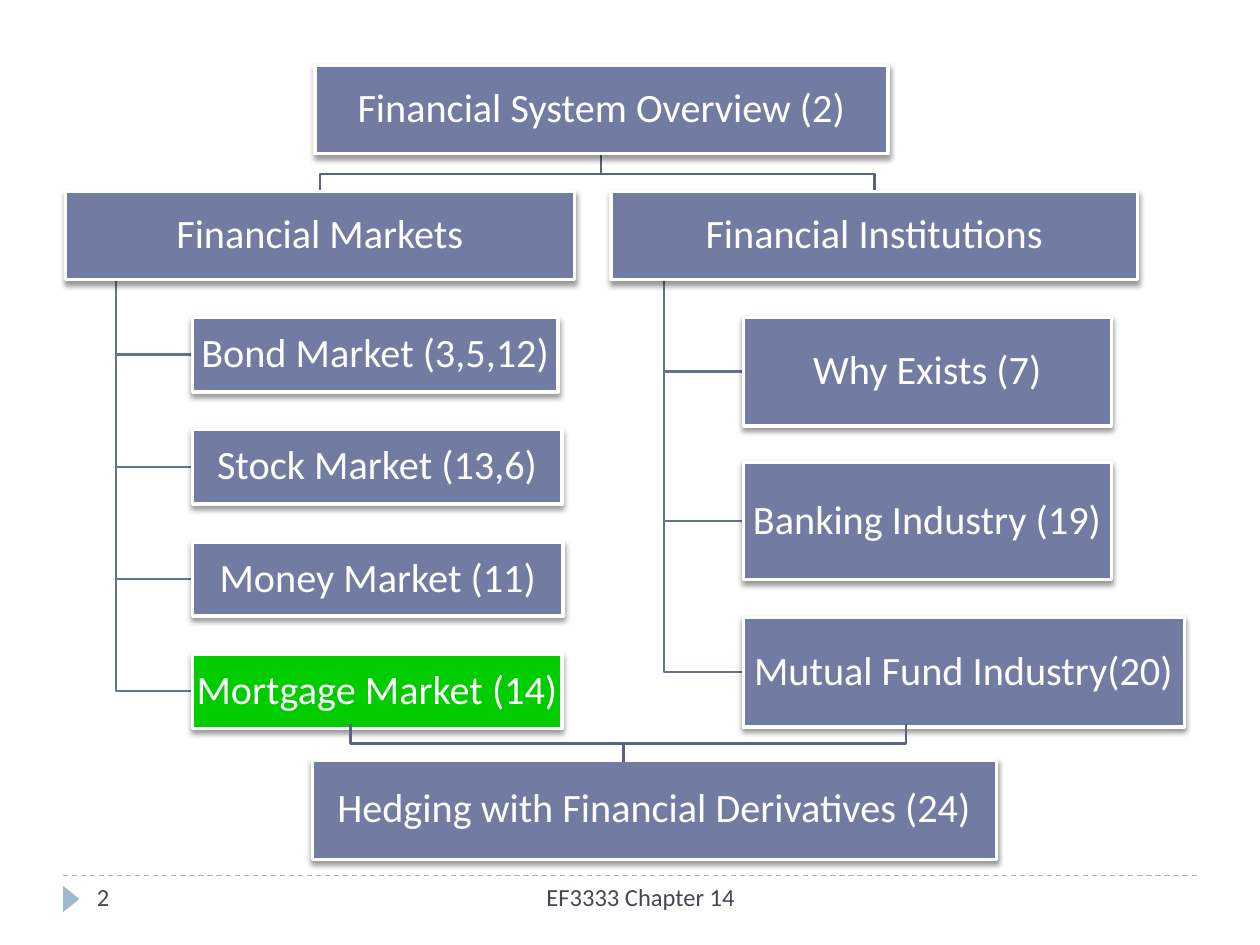
from lxml.etree import SubElement
from pptx import Presentation
from pptx.dml.color import RGBColor
from pptx.enum.dml import MSO_LINE
from pptx.enum.shapes import MSO_CONNECTOR, MSO_SHAPE
from pptx.enum.text import MSO_ANCHOR, PP_ALIGN
from pptx.oxml.ns import qn
from pptx.util import Inches, Pt

COLORS = {
    "box": "727CA3",
    "highlight": "00CC00",
    "white": "FFFFFF",
    "branch": "677194",
    "bracket": "5B6383",
    "accent": "9FB8CD",
    "footer": "464653",
    "shadow": "000000",
}


def color(name):
    return RGBColor.from_string(COLORS[name])


def format_text(text_frame, text, size, color_name, alignment):
    text_frame.text = text
    paragraph = text_frame.paragraphs[0]
    paragraph.alignment = alignment
    font = paragraph.runs[0].font
    font.name = "Calibri"
    font.size = Pt(size)
    font.color.rgb = color(color_name)
    return paragraph


def add_shadow(shape):
    shape.shadow.inherit = False
    effects = shape._element.spPr.find(qn("a:effectLst"))
    shadow = SubElement(effects, qn("a:outerShdw"), blurRad=str(Pt(3)),
                        dist=str(Pt(2)), dir="5400000", rotWithShape="0")
    shade = SubElement(shadow, qn("a:srgbClr"), val=COLORS["shadow"])
    SubElement(shade, qn("a:alpha"), val="40000")


def add_box(slide, text, left, top, width, height, fill="box"):
    shape = slide.shapes.add_shape(
        MSO_SHAPE.RECTANGLE, Inches(left), Inches(top), Inches(width), Inches(height))
    shape.fill.solid()
    shape.fill.fore_color.rgb = color(fill)
    shape.line.color.rgb = color("white")
    shape.line.width = Pt(2)
    add_shadow(shape)
    text_frame = shape.text_frame
    text_frame.word_wrap = True
    text_frame.vertical_anchor = MSO_ANCHOR.MIDDLE
    text_frame.margin_left = text_frame.margin_right = Inches(0.02)
    text_frame.margin_top = text_frame.margin_bottom = Inches(0.02)
    paragraph = format_text(text_frame, text, 23, "white", PP_ALIGN.CENTER)
    paragraph.line_spacing = 0.9


def add_elbow(slide, points, color_name):
    start, *others = [(Inches(x), Inches(y)) for x, y in points]
    builder = slide.shapes.build_freeform(*start)
    builder.add_line_segments(others, close=False)
    shape = builder.convert_to_shape()
    shape.fill.background()
    shape.line.color.rgb = color(color_name)
    shape.line.width = Pt(1.5)
    shape.shadow.inherit = False


def add_bracket(slide, stem_x, stem_y, middle_y, end_y, ends):
    for end_x in ends:
        add_elbow(slide, [(stem_x, stem_y), (stem_x, middle_y),
                          (end_x, middle_y), (end_x, end_y)], "bracket")


def add_branch(slide, trunk_x, left, topics):
    for text, top, width, height, fill in topics:
        middle = top + height / 2
        add_elbow(slide, [(trunk_x, 2.23), (trunk_x, middle), (left, middle)], "branch")
        add_box(slide, text, left, top, width, height, fill)


def add_footer_text(slide, text, left, width, alignment):
    box = slide.shapes.add_textbox(Inches(left), Inches(6.95), Inches(width), Inches(0.4))
    box.text_frame.word_wrap = True
    box.text_frame.vertical_anchor = MSO_ANCHOR.TOP
    format_text(box.text_frame, text, 14, "footer", alignment)


def add_footer(slide):
    line = slide.shapes.add_connector(
        MSO_CONNECTOR.STRAIGHT, Inches(0.5), Inches(6.95), Inches(9.5), Inches(6.95))
    line.line.color.rgb = color("accent")
    line.line.width = Pt(0.75)
    line.line.dash_style = MSO_LINE.DASH
    SubElement(line._element.spPr, qn("a:effectLst"))
    marker = slide.shapes.add_shape(
        MSO_SHAPE.ISOSCELES_TRIANGLE, Inches(0.46), Inches(7.07), Inches(0.21), Inches(0.13))
    marker.rotation = 90
    marker.fill.solid()
    marker.fill.fore_color.rgb = color("accent")
    marker.line.fill.background()
    marker.shadow.inherit = False
    add_footer_text(slide, "EF3333 Chapter 14", 3.17, 3.83, PP_ALIGN.CENTER)
    add_footer_text(slide, "2", 0.67, 2.17, PP_ALIGN.LEFT)


def main():
    presentation = Presentation()
    presentation.slide_width = Inches(10)
    presentation.slide_height = Inches(7.5)
    slide = presentation.slides.add_slide(presentation.slide_layouts[6])
    add_footer(slide)

    add_bracket(slide, 4.77, 1.23, 1.38, 1.52, [2.54, 6.94])
    add_branch(slide, 0.92, 1.53, [
        ("Bond Market (3,5,12)", 2.52, 2.9, 0.59, "box"),
        ("Stock Market (13,6)", 3.41, 2.93, 0.59, "box"),
        ("Money Market (11)", 4.3, 2.94, 0.59, "box"),
        ("Mortgage Market (14)", 5.19, 2.93, 0.59, "highlight"),
    ])
    add_branch(slide, 5.27, 5.9, [
        ("Why Exists (7)", 2.52, 2.92, 0.86, "box"),
        ("Banking Industry (19)", 3.67, 2.92, 0.93, "box"),
        ("Mutual Fund Industry(20)", 4.9, 3.5, 0.87, "box"),
    ])
    add_box(slide, "Financial System Overview (2)", 2.5, 0.52, 4.55, 0.7)
    add_box(slide, "Financial Markets", 0.52, 1.52, 4.04, 0.7)
    add_box(slide, "Financial Institutions", 4.85, 1.52, 4.18, 0.7)
    add_box(slide, "Hedging with Financial Derivatives (24)", 2.48, 6.03, 5.43, 0.79)
    add_bracket(slide, 4.95, 6.05, 5.9, 5.75, [2.78, 7.19])

    presentation.save("out.pptx")


main()
